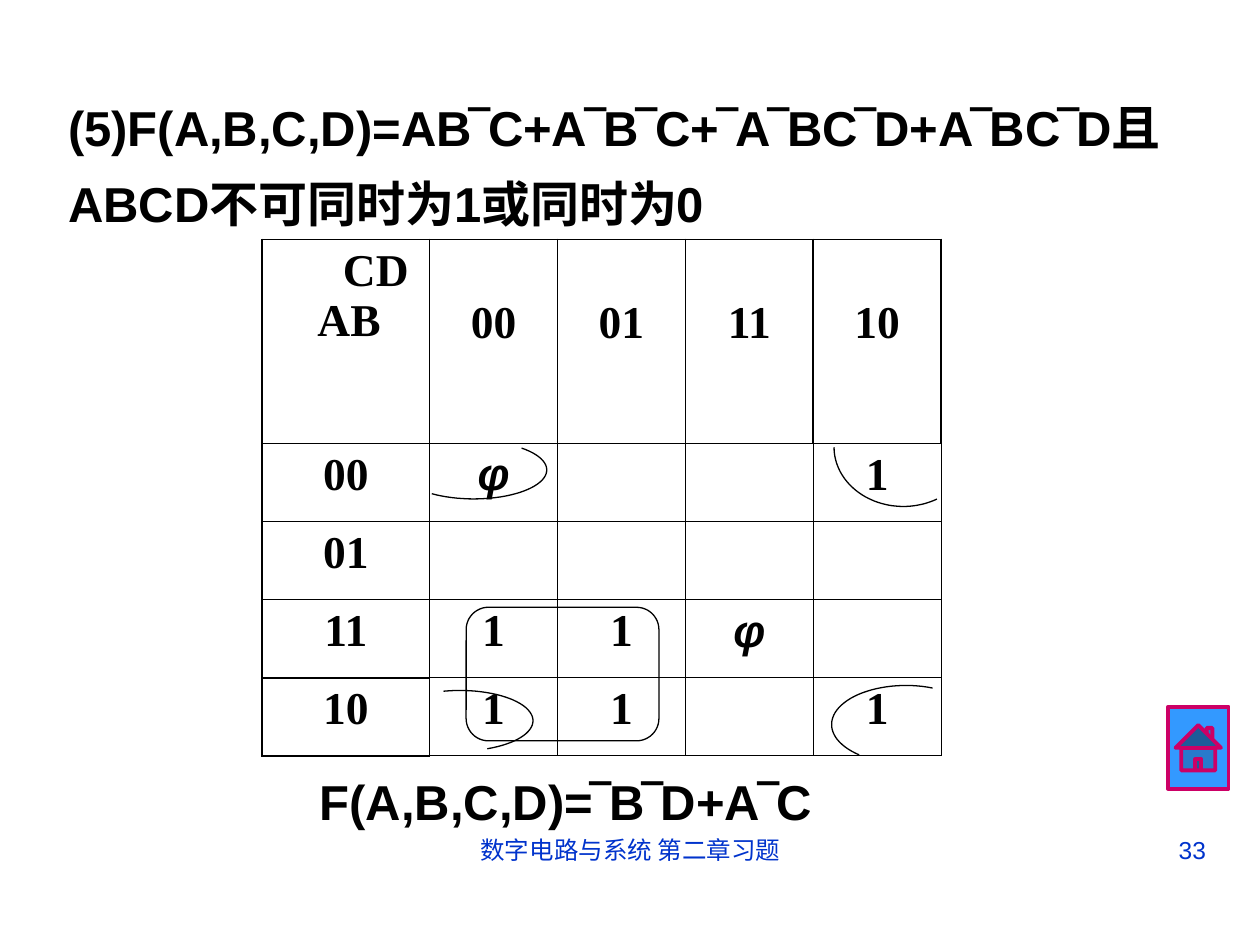
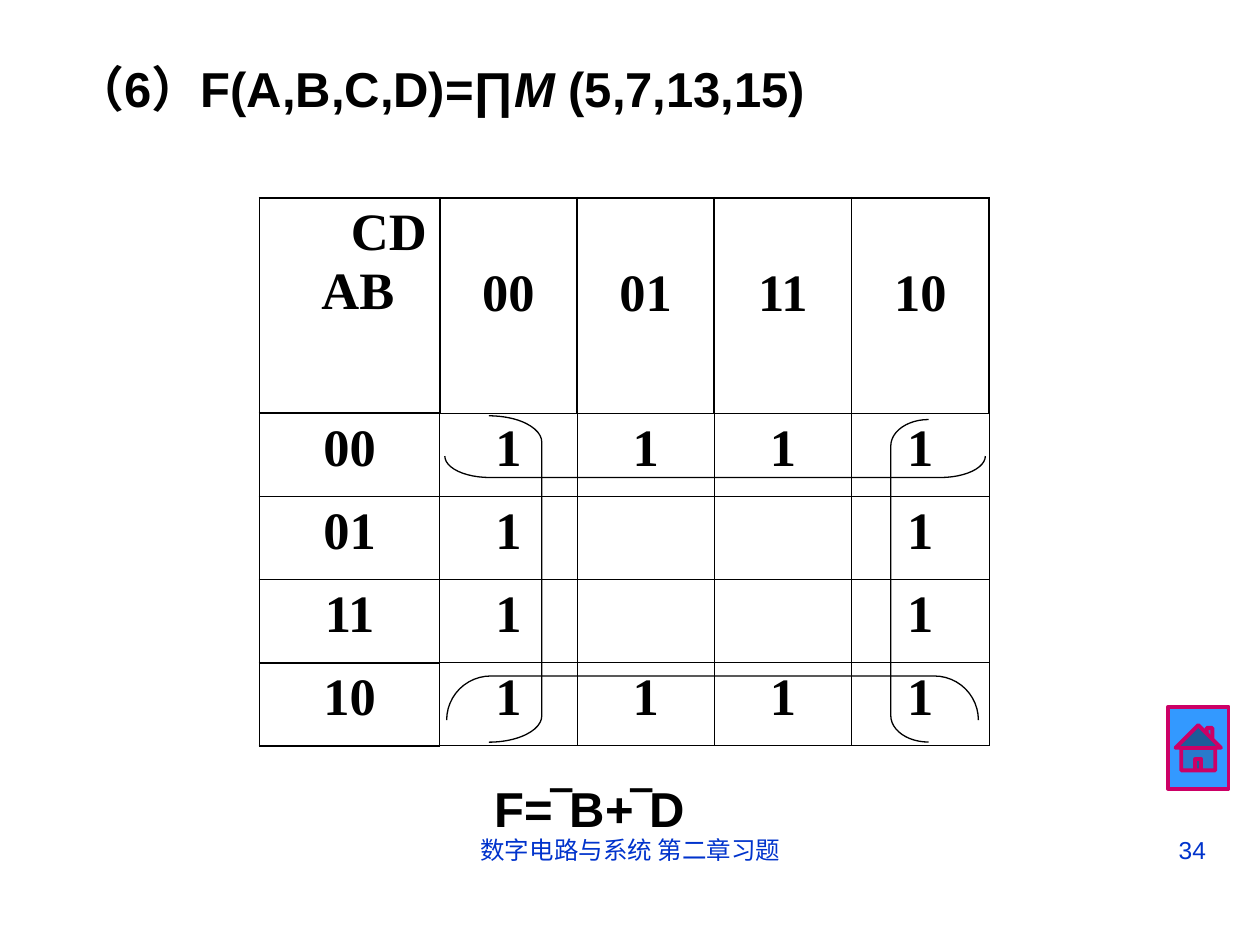
from math import cos, radians, sin

from lxml.etree import SubElement
from pptx import Presentation
from pptx.dml.color import RGBColor
from pptx.enum.shapes import MSO_SHAPE as Preset
from pptx.enum.text import MSO_ANCHOR as Anchor, MSO_AUTO_SIZE as AutoSize, PP_ALIGN as Align
from pptx.oxml.ns import qn
from pptx.util import Inches, Pt

BLACK = RGBColor(0, 0, 0)
FOOTER_BLUE = RGBColor(0x00, 0x33, 0xCC)
BUTTON_BLUE = RGBColor(0x33, 0x99, 0xFF)
BUTTON_PINK = RGBColor(0xCC, 0x00, 0x66)

FORMULA = {"name": "Arial", "size": Pt(28), "bold": True, "italic": False}
FOOTER = {"name": "Arial", "size": Pt(14), "bold": False}
THICK, THIN = Pt(1.08), Pt(0.45)
CODES = ["00", "01", "11", "10"]

presentation = Presentation()
presentation.slide_width, presentation.slide_height = Inches(10), Inches(7.5)
COLUMN = presentation.slide_width / 10
ROW = presentation.slide_height / 7.5


def place(left, top, width, height):
    return [round(share) for share in (left * COLUMN, top * ROW, width * COLUMN, height * ROW)]


def write(paragraph, text, formats, color=BLACK, alignment=Align.LEFT):
    paragraph.alignment = alignment
    run = paragraph.add_run()
    run.text = text
    for name, value in formats.items():
        setattr(run.font, name, value)
    run.font.color.rgb = color


pages = [
    {
        "number": "33",
        "title": [("(5)F(A,B,C,D)=AB‾C+A‾B‾C+‾A‾BC‾D+A‾BC‾D且ABCD不可同时为1或同时为0", False)],
        "title_place": (0.44, 0.58, 9.12, 1.32),
        "title_wrap": True,
        "title_spacing": 1.3,
        "answer": "F(A,B,C,D)=‾B‾D+A‾C",
        "answer_place": (2.44, 6.07, 4.4, 0.57),
        "map_place": (2.08, 1.9, 5.39, 4.1),
        "columns": (1.33, 1.015),
        "rows": (1.62, 0.62),
        "size": 26,
        "values": ["φ  1", "    ", "11φ ", "11 1"],
        "arcs": [
            (3.76, 3.73, 0.58, 0.23, 125, -49),
            (3.65, 5.72, 0.58, 0.24, -103, 68),
            (7.19, 5.75, 0.59, 0.31, -69, -231),
            (7.17, 3.55, 0.55, 0.47, 61, 180),
        ],
        "loops": [(Preset.ROUNDED_RECTANGLE, (3.7, 4.82, 1.53, 1.06), 0.167, 0)],
    },
    {
        "number": "34",
        "title": [("（6）F(A,B,C,D)=∏", False), ("M ", True), ("(5,7,13,15)", False)],
        "title_place": (0.5, 0.41, 6.29, 0.57),
        "title_wrap": False,
        "title_spacing": 1.0,
        "answer": "F=‾B+‾D",
        "answer_place": (3.83, 6.13, 1.95, 0.57),
        "map_place": (2.06, 1.57, 5.77, 4.35),
        "columns": (1.43, 1.09),
        "rows": (1.71, 0.66),
        "size": 30,
        "values": ["1111", "1  1", "1  1", "1111"],
        "arcs": [],
        "loops": [
            (Preset.RIGHT_BRACKET, (3.88, 3.3, 0.42, 2.59), 0.5, 0),
            (Preset.LEFT_BRACKET, (7.07, 3.33, 0.3, 2.56), 0.7, 0),
            (Preset.RIGHT_BRACKET, (5.59, 1.56, 0.17, 4.29), 2.1, 90),
            (Preset.RIGHT_BRACKET, (5.48, 3.43, 0.35, 4.22), 1.0, 270),
        ],
    },
]

for page in pages:
    slide = presentation.slides.add_slide(presentation.slide_layouts[5])
    shapes = slide.shapes

    home = shapes.add_shape(Preset.ACTION_BUTTON_HOME, *place(9.27, 5.61, 0.48, 0.65))
    home.shadow.inherit = False
    home.fill.solid()
    home.fill.fore_color.rgb = BUTTON_BLUE
    home.line.color.rgb = BUTTON_PINK
    home.line.width = Pt(2.25)

    for text, area, alignment in [
        ("数字电路与系统 第二章习题", (3.42, 6.58, 3.17, 0.52), Align.CENTER),
        (page["number"], (7.17, 6.58, 2.5, 0.52), Align.RIGHT),
    ]:
        frame = shapes.add_textbox(*place(*area)).text_frame
        frame.word_wrap = True
        write(frame.paragraphs[0], text, FOOTER, FOOTER_BLUE, alignment)

    title = shapes.title
    title.left, title.top, title.width, title.height = place(*page["title_place"])
    answer = shapes.add_textbox(*place(*page["answer_place"]))
    for shape, wrap in [(title, page["title_wrap"]), (answer, False)]:
        frame = shape.text_frame
        frame.word_wrap = wrap
        frame.auto_size = AutoSize.NONE
        frame.vertical_anchor = Anchor.MIDDLE
    heading = title.text_frame.paragraphs[0]
    heading.line_spacing = page["title_spacing"]
    for text, italic in page["title"]:
        write(heading, text, FORMULA | {"italic": italic})
    write(answer.text_frame.paragraphs[0], page["answer"], FORMULA)

    outlines = []
    for center_x, center_y, radius_x, radius_y, start, end in page["arcs"]:
        angles = [radians(start + (end - start) * step / 40) for step in range(41)]
        points = [
            (round((center_x + radius_x * cos(angle)) * COLUMN),
             round((center_y + radius_y * sin(angle)) * ROW))
            for angle in angles
        ]
        builder = shapes.build_freeform(*points[0])
        builder.add_line_segments(points[1:], close=False)
        outlines.append(builder.convert_to_shape())
    for preset, area, curve, rotation in page["loops"]:
        loop = shapes.add_shape(preset, *place(*area))
        loop.adjustments[0] = curve
        loop.rotation = rotation
        outlines.append(loop)
    for outline in outlines:
        outline.shadow.inherit = False
        outline.fill.background()
        outline.line.color.rgb = BLACK
        outline.line.width = Pt(0.75)

    table = shapes.add_table(5, 5, *place(*page["map_place"])).table
    table.first_row = table.horz_banding = False
    for index in range(5):
        table.columns[index].width = round(page["columns"][index > 0] * COLUMN)
        table.rows[index].height = round(page["rows"][index > 0] * ROW)
    size = page["size"]
    label = {"name": "Times New Roman", "size": Pt(size), "bold": True, "italic": False}
    grid = [["", *CODES]] + [[code, *values] for code, values in zip(CODES, page["values"])]
    for row, texts in enumerate(grid):
        for column, text in enumerate(texts):
            cell = table.cell(row, column)
            frame = cell.text_frame
            if row == column == 0:
                for name, indent in [("CD", 1.5), ("AB", 0.94)]:
                    paragraph = frame.paragraphs[0] if name == "CD" else frame.add_paragraph()
                    paragraph._p.get_or_add_pPr().set("marL", str(Pt(size * indent)))
                    write(paragraph, name, label)
            elif text.strip():
                change = {"name": "Arial", "italic": True} if text == "φ" else {}
                write(frame.paragraphs[0], text, label | change, alignment=Align.CENTER)
                if row == 0:
                    cell.margin_top = Inches(0.05) + Pt(size * 1.15)
            edge = row == 0 or column == 0
            borders = {
                "a:lnL": THICK if edge else THIN,
                "a:lnR": THICK if row == 0 else THIN,
                "a:lnT": THICK if edge else THIN,
                "a:lnB": THICK if column == 0 else THIN,
            }
            properties = cell._tc.get_or_add_tcPr()
            for tag, width in borders.items():
                border = SubElement(properties, qn(tag), w=str(width))
                fill = SubElement(border, qn("a:solidFill"))
                SubElement(fill, qn("a:srgbClr"), val=str(BLACK))
            cell.fill.background()

presentation.save("out.pptx")
